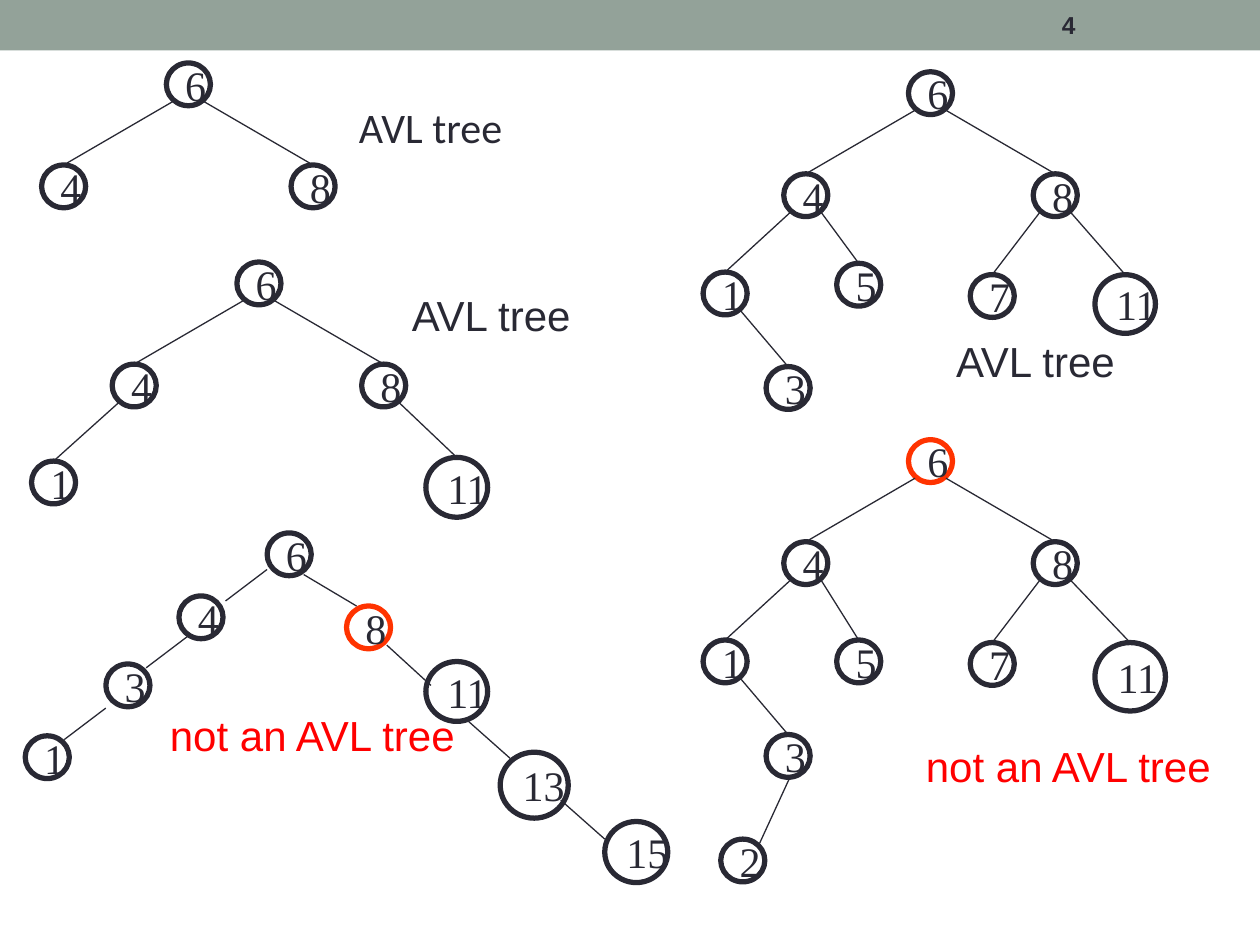
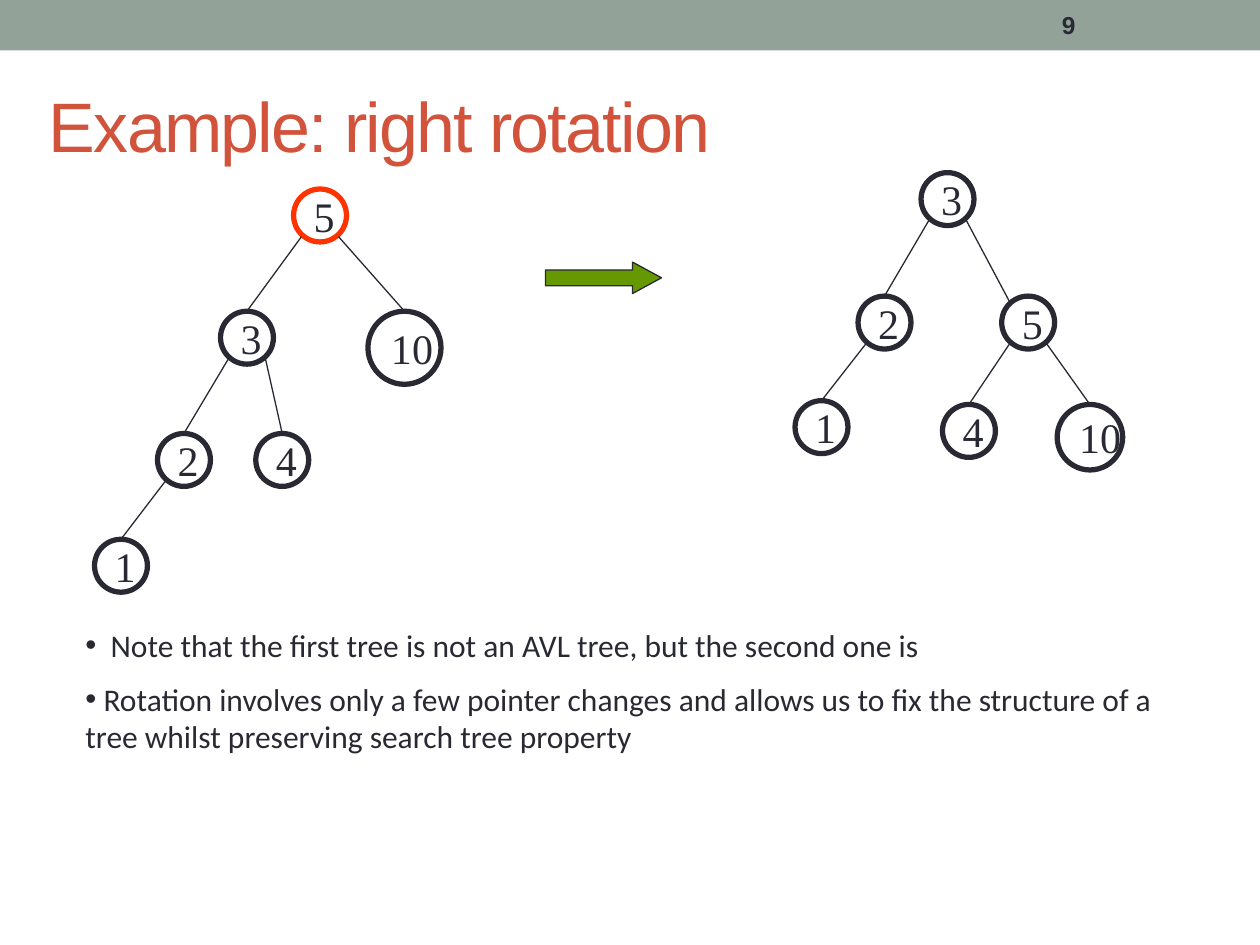
"""Builds two slides on AVL trees: balanced and unbalanced examples, then a right rotation."""
from lxml import etree
from pptx import Presentation
from pptx import util as u
from pptx.dml.color import RGBColor
from pptx.enum import shapes, text
from pptx.oxml.ns import qn

WIDTH, HEIGHT, BAND_HEIGHT = 10, 7.5, 0.4
INK, BAND, TITLE, MARKED, WARNING, ARROW = (
    "292934", "93A299", "D2533C", "FF3300", "FF0000", "669900")

# Each node: key -> (parent, offset right, offset down, optional diameter), offsets from the root.
TOP = {"6": (None, 0, 0), "4": ("6", -0.99, 0.81), "8": ("6", 0.99, 0.81)}
FULL = TOP | {"1": ("4", -1.63, 1.59), "5": ("4", -0.57, 1.52), "7": ("8", 0.49, 1.61),
              "11": ("8", 1.48, 1.61, 0.48), "3": ("1", -1.13, 2.34)}

EXAMPLE_TREES = [
    {"root": (1.32, 0.5), "nodes": TOP},
    {"root": (1.88, 2.08),
     "nodes": TOP | {"1": ("4", -1.63, 1.58), "11": ("8", 1.5, 1.55, 0.49)}},
    {"root": (2.12, 4.23), "marked": "8",
     "nodes": {"6": (None, 0, 0), "4": ("6", -0.7, 0.5), "3": ("4", -1.28, 1.04),
               "1": ("3", -1.92, 1.61), "8": ("6", 0.63, 0.58),
               "11": ("8", 1.26, 1.02, 0.49), "13": ("11", 1.85, 1.74, 0.54),
               "15": ("13", 2.68, 2.29, 0.5)},
     "links": {"4": (2.12, 4.52, 1.79, 4.77), "3": (1.49, 5.05, 1.16, 5.3),
               "1": (0.84, 5.62, 0.51, 5.87), "8": (2.41, 4.56, 2.83, 4.81),
               "11": (3.07, 5.12, 3.42, 5.44), "13": (3.69, 5.7, 4.05, 6.02),
               "15": (4.45, 6.35, 4.8, 6.66)}},
    {"root": (7.21, 0.57), "nodes": FULL},
    {"root": (7.21, 3.49), "marked": "6",
     "nodes": FULL | {"5": ("4", -0.57, 1.59), "11": ("8", 1.48, 1.61, 0.56),
                      "2": ("3", -1.49, 3.17)},
     "links": {"2": (6.26, 6.19, 6.03, 6.69)}},
]
VERDICTS = [("AVL tree", 2.75, 0.76, 1.35, "Calibri", INK),
            ("AVL tree", 3.17, 2.25, 1.47, "Arial", INK),
            ("AVL tree", 7.49, 2.61, 1.47, "Arial", INK),
            ("not an AVL tree", 1.25, 5.58, 2.48, "Arial", WARNING),
            ("not an AVL tree", 7.25, 5.83, 2.48, "Arial", WARNING)]

ROTATION_TREES = [
    {"root": (2.33, 1.5), "marked": "5",
     "nodes": {"5": (None, 0, 0), "3": ("5", -0.58, 0.97), "10": ("5", 0.59, 0.97, 0.58),
               "2": ("3", -1.08, 1.94), "4": ("3", -0.3, 1.94), "1": ("2", -1.58, 2.78)}},
    {"root": (7.31, 1.37),
     "nodes": {"3": (None, 0, 0), "2": ("3", -0.5, 0.98), "5": ("3", 0.64, 0.98),
               "1": ("2", -1, 1.81), "4": ("5", 0.17, 1.84), "10": ("5", 1.08, 1.84, 0.52)},
     "links": {"5": (7.67, 1.75, 8.01, 2.39)}},
]
NOTES = [("Note that the first tree is not an AVL tree, but the second one is", 0.2),
         (" Rotation involves only a few pointer changes and allows us to fix the structure "
          "of a tree whilst preserving search tree property", 0)]


def color(value):
    return RGBColor.from_string(value)


def inches(*lengths):
    return [u.Inches(length) for length in lengths]


def write(paragraph, words, size, font, ink=INK, bold=False):
    run = paragraph.add_run()
    run.text = words
    run.font.size, run.font.name, run.font.bold = u.Pt(size), font, bold
    run.font.color.rgb = color(ink)
    return run


def add_label(slide, box, words, size, font, ink=INK, wrap=True, middle=False, bold=False):
    frame = slide.shapes.add_textbox(*inches(*box)).text_frame
    frame.word_wrap = wrap
    if middle:
        frame.vertical_anchor = text.MSO_ANCHOR.MIDDLE
    return write(frame.paragraphs[0], words, size, font, ink, bold)


def add_figure(slide, kind, box, fill=None, line=None, weight=0.75):
    figure = slide.shapes.add_shape(kind, *inches(*box))
    figure.shadow.inherit = False
    if fill:
        figure.fill.solid()
        figure.fill.fore_color.rgb = color(fill)
    else:
        figure.fill.background()
    if line:
        figure.line.color.rgb, figure.line.width = color(line), u.Pt(weight)
    else:
        figure.line.fill.background()
    return figure


def add_node(slide, key, box, ring):
    node = add_figure(slide, shapes.MSO_SHAPE.OVAL, box, line=ring, weight=3)
    frame = node.text_frame
    frame.word_wrap = False
    frame.vertical_anchor = text.MSO_ANCHOR.MIDDLE
    frame.paragraphs[0].alignment = text.PP_ALIGN.LEFT
    write(frame.paragraphs[0], key, 24, "Times New Roman")
    return node


def add_link(slide, ends, child=None):
    link = slide.shapes.add_connector(shapes.MSO_CONNECTOR.STRAIGHT, *inches(*ends))
    if child is not None:
        link.end_connect(child, 0)
    link.line.color.rgb, link.line.width = color(INK), u.Pt(0.75)
    etree.SubElement(link._element.spPr, qn("a:effectLst"))


def add_tree(slide, tree, diameter, aspect):
    left, top = tree["root"]
    boxes, links = {}, tree.get("links", {})
    for key, (parent, right, down, *own) in tree["nodes"].items():
        size = own[0] if own else diameter
        x, y, width, height = boxes[key] = (left + right, top + down, size, size * aspect)
        ring = MARKED if key == tree.get("marked") else INK
        node = add_node(slide, key, boxes[key], ring)
        if key in links:
            add_link(slide, links[key])
        elif parent:
            px, py, pwidth, pheight = boxes[parent]
            middle = x + width / 2
            share = 0.15 if middle < px + pwidth / 2 else 0.85
            add_link(slide, (px + share * pwidth, py + 0.9 * pheight, middle, y), node)


def add_notes(slide):
    frame = slide.shapes.add_textbox(*inches(0.58, 4.92, 8.75, 1.6)).text_frame
    frame.word_wrap = True
    for index, (words, hang) in enumerate(NOTES):
        paragraph = frame.add_paragraph() if index else frame.paragraphs[0]
        properties = paragraph._p.get_or_add_pPr()
        properties.set("marL", str(u.Inches(hang)))
        properties.set("indent", str(-u.Inches(hang)))
        etree.SubElement(properties, qn("a:buFont"), typeface="Arial")
        etree.SubElement(properties, qn("a:buChar"), char="•")
        if index:
            paragraph.space_before = u.Pt(9)
        write(paragraph, words, 18, "Calibri")


def add_page(deck, number):
    slide = deck.slides.add_slide(deck.slide_layouts[6])
    add_figure(slide, shapes.MSO_SHAPE.RECTANGLE, (0, 0, WIDTH, BAND_HEIGHT), fill=BAND)
    add_label(slide, (8.33, 0.02, 1.17, 0.36), number, 14, "Arial", middle=True, bold=True)
    return slide


def main():
    deck = Presentation()
    deck.slide_width, deck.slide_height = inches(WIDTH, HEIGHT)

    examples = add_page(deck, "4")
    for tree in EXAMPLE_TREES:
        add_tree(examples, tree, 0.35, 0.97)
    for words, left, top, width, font, ink in VERDICTS:
        add_label(examples, (left, top, width, 0.5), words, 24, font, ink, wrap=False)

    rotation = add_page(deck, "9")
    title = add_label(rotation, (0.29, 0.45, 9, 1.08), "Example: right rotation", 40, "Arial",
                      TITLE, middle=True)
    title._r.get_or_add_rPr().set("spc", "-100")
    for tree in ROTATION_TREES:
        add_tree(rotation, tree, 0.42, 1)
    arrow = add_figure(rotation, shapes.MSO_SHAPE.RIGHT_ARROW, (4.33, 2.08, 0.92, 0.25),
                       fill=ARROW, line=INK)
    arrow.adjustments[0], arrow.adjustments[1] = 0.5, 0.92
    add_notes(rotation)

    deck.save("out.pptx")


if __name__ == "__main__":
    main()
